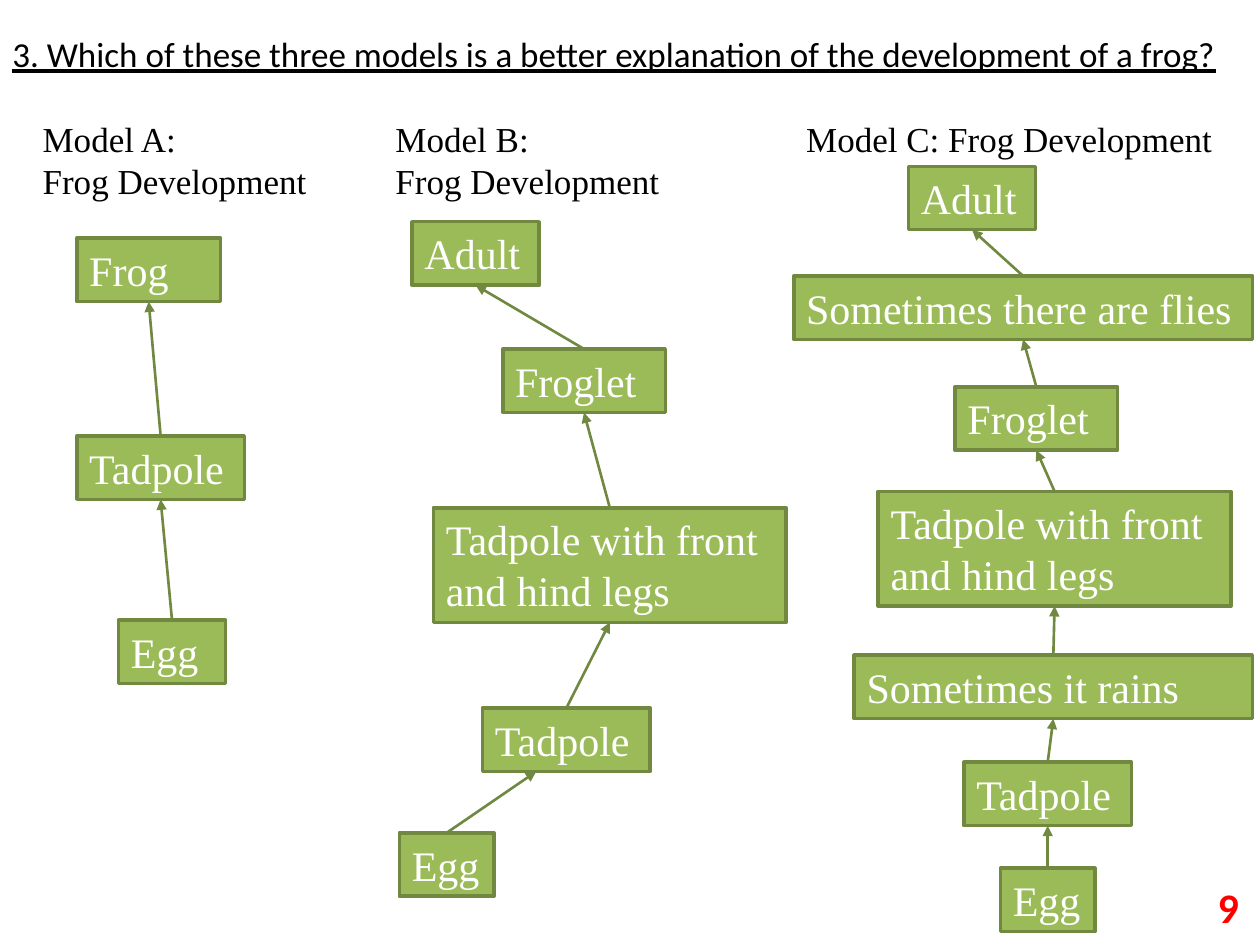
from lxml import etree
from pptx import Presentation
from pptx.dml.color import RGBColor
from pptx.enum.shapes import MSO_CONNECTOR, MSO_SHAPE
from pptx.enum.text import MSO_ANCHOR, PP_ALIGN
from pptx.oxml.ns import qn
from pptx.util import Inches, Pt

RECTANGLE = MSO_SHAPE.RECTANGLE
STRAIGHT = MSO_CONNECTOR.STRAIGHT
TOP, MIDDLE = MSO_ANCHOR.TOP, MSO_ANCHOR.MIDDLE
LEFT, RIGHT = PP_ALIGN.LEFT, PP_ALIGN.RIGHT
CELL = Inches(0.1)
COLUMNS, ROWS = 100, 75
TOP_SITE, BOTTOM_SITE = 0, 2
CENTRE = 0.5
ONE_LINE, TWO_LINES, HEADING_ROWS = 5.04, 9.1, 4.4
GREEN, DARK_GREEN = "9BBB59", "718840"
BLACK, WHITE, RED = "000000", "FFFFFF", "FF0000"
SANS, SERIF = "Calibri", "Times New Roman"
LEGS = "Tadpole with front and hind legs"

# Each stage: label, column and row inside the model, columns wide, rows high, arrow landing share.
MODELS = [
    ((2.4, 8.8, 35.7), "Model A:\nFrog Development", [
        ("Frog", 3.7, 10.1, 11.4, ONE_LINE, CENTRE),
        ("Tadpole", 3.7, 25.8, 13.3, ONE_LINE, CENTRE),
        ("Egg", 7, 40.4, 8.5, ONE_LINE, CENTRE),
    ]),
    ((30.4, 8.8, 23.3), "Model B:\nFrog Development", [
        ("Adult", 2.3, 8.8, 10.1, ONE_LINE, CENTRE),
        ("Froglet", 9.5, 18.9, 12.9, ONE_LINE, CENTRE),
        (LEGS, 4, 31.5, 28, TWO_LINES, CENTRE),
        ("Tadpole", 7.9, 47.4, 13.3, ONE_LINE, 0.32),
        ("Egg", 1.3, 57.3, 7.5, ONE_LINE, CENTRE),
    ]),
    ((63, 8.8, 35.7), "Model C: Frog Development", [
        ("Adult", 9.1, 4.4, 10.1, ONE_LINE, CENTRE),
        ("Sometimes there are flies", 0, 13.1, 36.4, ONE_LINE, CENTRE),
        ("Froglet", 12.8, 21.9, 12.9, ONE_LINE, CENTRE),
        (LEGS, 6.7, 30.2, 28, TWO_LINES, CENTRE),
        ("Sometimes it rains", 4.8, 43.2, 31.6, ONE_LINE, CENTRE),
        ("Tadpole", 13.5, 51.7, 13.3, ONE_LINE, CENTRE),
        ("Egg", 16.4, 60.1, 7.5, ONE_LINE, CENTRE),
    ]),
]


def color(hex_string):
    """Turn a hex string into a colour."""
    return RGBColor.from_string(hex_string)


def cells(*counts):
    """Turn counts of grid cells into lengths."""
    return [int(count * CELL) for count in counts]


def write(holder, words, size, font, ink, align=LEFT, anchor=TOP, bold=False, underline=False):
    """Put formatted words into a shape or text box."""
    frame = holder.text_frame
    frame.word_wrap = True
    frame.vertical_anchor = anchor
    frame.text = words
    for paragraph in frame.paragraphs:
        paragraph.alignment = align
        for run in paragraph.runs:
            run.font.size = Pt(size)
            run.font.name = font
            run.font.bold = bold
            run.font.underline = underline
            run.font.color.rgb = color(ink)


def add_words(slide, box, words, size, font, ink, **style):
    """Add a text box on the grid."""
    write(slide.shapes.add_textbox(*cells(*box)), words, size, font, ink, **style)


def add_stage(slide, box, label):
    """Add the green box of one stage."""
    stage = slide.shapes.add_shape(RECTANGLE, *cells(*box))
    stage.shadow.inherit = False
    stage.fill.solid()
    stage.fill.fore_color.rgb = color(GREEN)
    stage.line.color.rgb = color(DARK_GREEN)
    stage.line.width = Pt(2)
    write(stage, label, 24, SERIF, WHITE)
    return stage


def add_arrow(slide, earlier, later, landing):
    """Point from an earlier stage up to the later one."""
    arrow = slide.shapes.add_connector(
        STRAIGHT,
        earlier.left + earlier.width // 2, earlier.top,
        later.left + int(later.width * landing), later.top + later.height)
    arrow.begin_connect(earlier, TOP_SITE)
    if landing == CENTRE:
        arrow.end_connect(later, BOTTOM_SITE)
    arrow.line.color.rgb = color(DARK_GREEN)
    arrow.line.width = Pt(1.5)
    etree.SubElement(arrow.line._get_or_add_ln(), qn("a:tailEnd"), type="triangle")
    etree.SubElement(arrow._element.spPr, qn("a:effectLst"))


def add_model(slide, box, heading, stages):
    """Add a headed chain of stages, the latest on top."""
    left, top, width = box
    add_words(slide, (left, top, width, HEADING_ROWS), heading, 20, SERIF, BLACK)
    later, later_landing = None, CENTRE
    for label, column, row, columns, rows, landing in stages:
        stage = add_stage(slide, (left + column, top + row, columns, rows), label)
        if later is not None:
            add_arrow(slide, stage, later, later_landing)
        later, later_landing = stage, landing


def main():
    """Build and save the slide."""
    deck = Presentation()
    deck.slide_width, deck.slide_height = cells(COLUMNS, ROWS)
    slide = deck.slides.add_slide(deck.slide_layouts[6])
    add_words(
        slide, (0, 2.1, COLUMNS, HEADING_ROWS),
        "3. Which of these three models is a better explanation of the development of a frog?",
        20, SANS, BLACK, underline=True)
    for box, heading, stages in MODELS:
        add_model(slide, box, heading, stages)
    add_words(slide, (93.5, 70, 5.8, 4), "9", 24, SANS, RED,
              align=RIGHT, anchor=MIDDLE, bold=True)
    deck.save("out.pptx")


if __name__ == "__main__":
    main()
